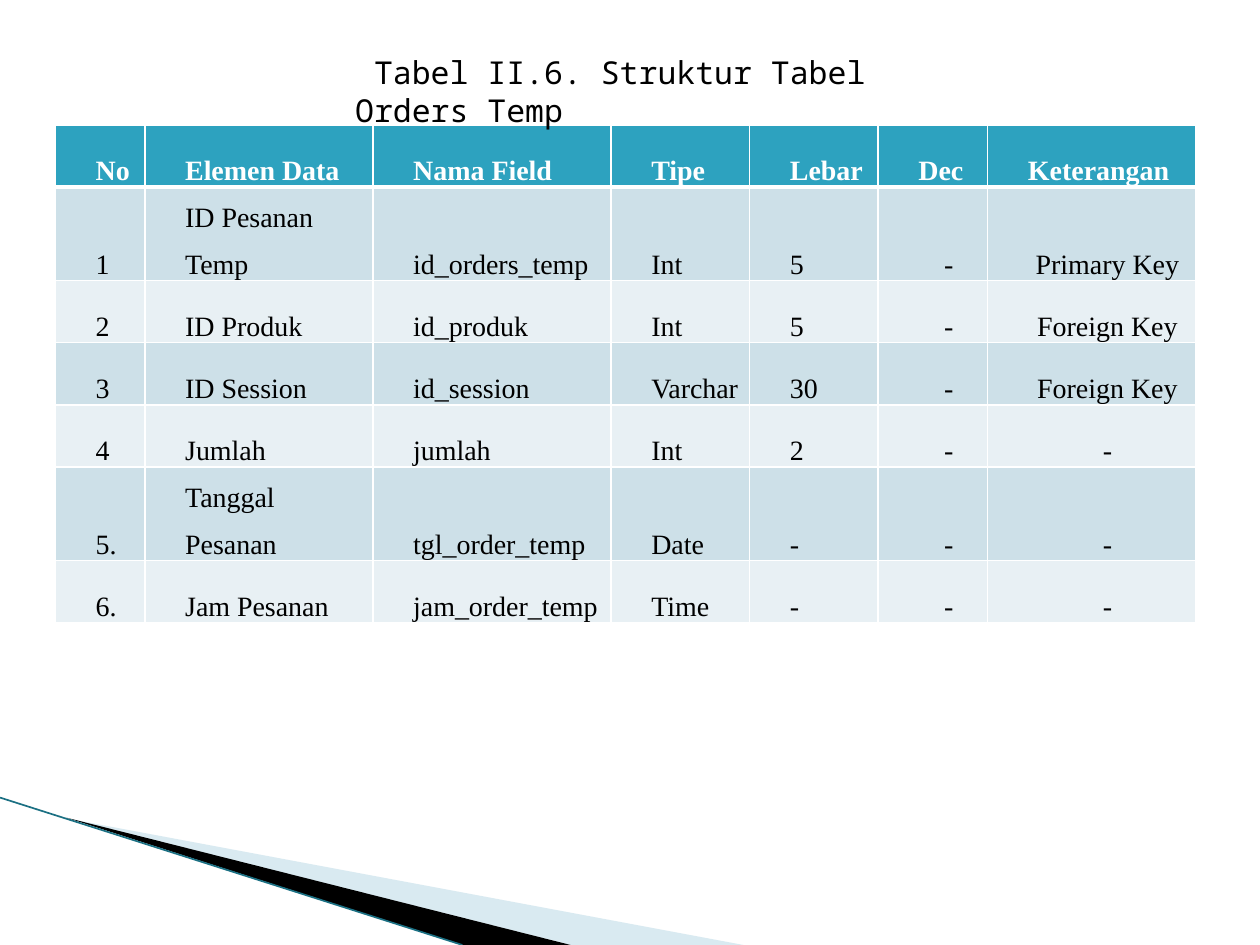
import pptx
import pptx.dml.color
import pptx.enum.shapes
import pptx.enum.text
import pptx.oxml.ns
import pptx.util
from lxml import etree

Inches = pptx.util.Inches
Pt = pptx.util.Pt
RGBColor = pptx.dml.color.RGBColor
PP_ALIGN = pptx.enum.text.PP_ALIGN
qn = pptx.oxml.ns.qn

WHITE = RGBColor(0xFF, 0xFF, 0xFF)
BLACK = RGBColor(0, 0, 0)
HEADER_TEAL = RGBColor(0x2D, 0xA2, 0xBF)
BAND_DARK = RGBColor(0xCD, 0xE0, 0xE8)
BAND_LIGHT = RGBColor(0xE8, 0xF0, 0xF4)
WEDGE_BLUE = RGBColor(0xA0, 0xCB, 0xDC)
EDGE_TEAL = RGBColor(0x1B, 0x70, 0x83)

COL_WIDTHS = [0.71, 1.81, 1.89, 1.1, 1.02, 0.87, 1.65]
TABLE_HEIGHT = 3.46
FIRST_CENTERED_COL = 5
ROWS = [
    ["No", "Elemen Data", "Nama Field", "Tipe", "Lebar", "Dec", "Keterangan"],
    ["1", "ID Pesanan Temp", "id_orders_temp", "Int", "5", "-", "Primary Key"],
    ["2", "ID Produk", "id_produk", "Int", "5", "-", "Foreign Key"],
    ["3", "ID Session", "id_session", "Varchar", "30", "-", "Foreign Key"],
    ["4", "Jumlah", "jumlah", "Int", "2", "-", "-"],
    ["5.", "Tanggal Pesanan", "tgl_order_temp", "Date", "-", "-", "-"],
    ["6.", "Jam Pesanan", "jam_order_temp", "Time", "-", "-", "-"],
]


class SlideBuilder:
    title_font = "Noto Sans Mono"
    table_font = "Times New Roman"

    def __init__(self, s):
        self.s = s

    def run(self, p, text, font, size, color, bold=False):
        r = p.add_run()
        r.text = text
        r.font.name = font
        r.font.size = Pt(size)
        r.font.color.rgb = color
        r.font.bold = bold

    def wedge(self, points, color, opacity=100):
        corners = [(Inches(x), Inches(y)) for x, y in points]
        fb = self.s.shapes.build_freeform(*corners[0])
        fb.add_line_segments(corners[1:], close=True)
        sp = fb.convert_to_shape()
        sp.shadow.inherit = False
        sp.fill.solid()
        sp.fill.fore_color.rgb = color
        sp.line.fill.background()
        if opacity < 100:
            clr = sp._element.spPr.find(qn("a:solidFill"))[0]
            etree.SubElement(clr, qn("a:alpha"), val=str(opacity * 1000))

    def line(self, x1, y1, x2, y2, color, width):
        cx = self.s.shapes.add_connector(
            pptx.enum.shapes.MSO_CONNECTOR.STRAIGHT,
            Inches(x1), Inches(y1), Inches(x2), Inches(y2))
        cx.line.color.rgb = color
        cx.line.width = Pt(width)
        etree.SubElement(cx._element.spPr, qn("a:effectLst"))

    def title(self, text, x, y, w, h):
        tf = self.s.shapes.add_textbox(
            Inches(x), Inches(y), Inches(w), Inches(h)).text_frame
        tf.word_wrap = True
        self.run(tf.paragraphs[0], text, self.title_font, 18, BLACK)

    def borders(self, cell, top, bottom):
        tcPr = cell._tc.get_or_add_tcPr()
        for side, width in zip("LRTB", (1, 1, top, bottom)):
            ln = etree.SubElement(tcPr, qn("a:ln" + side), w=str(Pt(width)))
            fill = etree.SubElement(ln, qn("a:solidFill"))
            etree.SubElement(fill, qn("a:srgbClr"), val=str(WHITE))

    def cell(self, cell, text, row, col):
        header = row == 0
        # The rule under the header is thicker and shared with the first row
        self.borders(cell, 3 if row == 1 else 1, 3 if header else 1)
        cell.fill.solid()
        cell.fill.fore_color.rgb = (
            HEADER_TEAL if header else BAND_DARK if row % 2 else BAND_LIGHT)
        cell.vertical_anchor = pptx.enum.text.MSO_ANCHOR.BOTTOM
        cell.margin_left = cell.margin_right = Inches(0.07)
        cell.margin_top = cell.margin_bottom = 0
        p = cell.text_frame.paragraphs[0]
        p.line_spacing = 1.5
        p._p.get_or_add_pPr().set("marL", str(Inches(0.25)))
        if not header and col >= FIRST_CENTERED_COL:
            p.alignment = PP_ALIGN.CENTER
        self.run(p, text, self.table_font, 16,
                 WHITE if header else BLACK, header)

    def table(self, rows, x, y):
        table = self.s.shapes.add_table(
            len(rows), len(COL_WIDTHS), Inches(x), Inches(y),
            Inches(sum(COL_WIDTHS)), Inches(TABLE_HEIGHT)).table
        for column, width in zip(table.columns, COL_WIDTHS):
            column.width = Inches(width)
        for i, row in enumerate(rows):
            table.rows[i].height = Inches(TABLE_HEIGHT / len(rows))
            for j, text in enumerate(row):
                self.cell(table.cell(i, j), text, i, j)


def main():
    prs = pptx.Presentation()
    prs.slide_width = Inches(10)
    prs.slide_height = Inches(7.5)
    b = SlideBuilder(prs.slides.add_slide(prs.slide_layouts[6]))
    b.wedge([(0.55, 6.5), (5.9, 7.5), (4.53, 7.5)], WEDGE_BLUE, 40)
    b.wedge([(0.53, 6.49), (4.53, 7.5), (3.67, 7.5)], BLACK)
    b.line(0, 6.33, 3.67, 7.5, EDGE_TEAL, 0.95)
    b.table(ROWS, 0.44, 0.99)
    b.title(" Tabel II.6. Struktur Tabel Orders Temp", 2.72, 0.37, 5.28, 0.4)
    prs.save("out.pptx")


if __name__ == "__main__":
    main()
